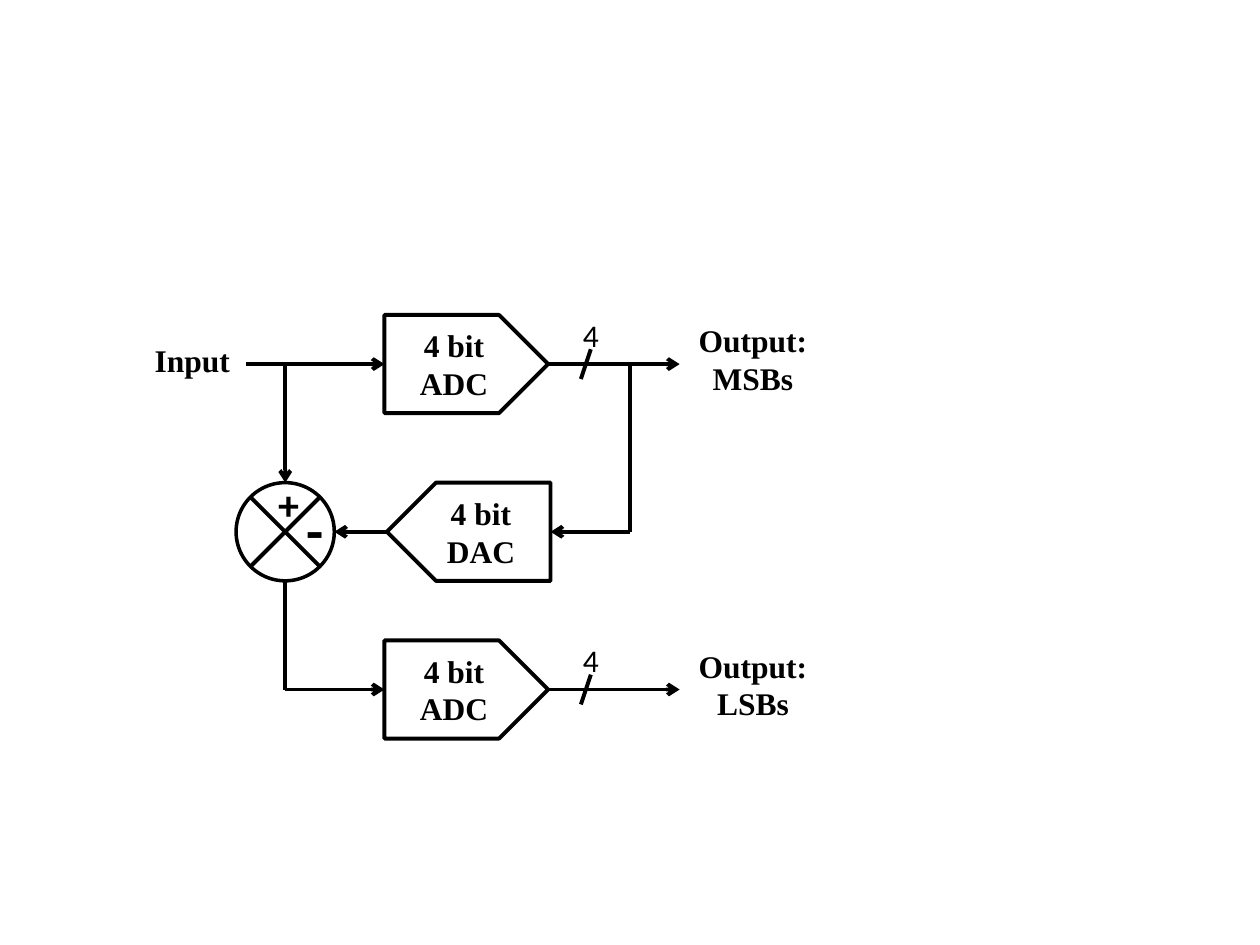
from lxml import etree
from pptx import Presentation
from pptx.dml.color import RGBColor
from pptx.enum.shapes import MSO_CONNECTOR, MSO_SHAPE
from pptx.enum.text import MSO_ANCHOR, MSO_AUTO_SIZE, PP_ALIGN
from pptx.oxml.ns import qn
from pptx.util import Cm, Pt

BLACK = RGBColor(0, 0, 0)
WHITE = RGBColor(255, 255, 255)
STRAIGHT = MSO_CONNECTOR.STRAIGHT
PENTAGON = MSO_SHAPE.PENTAGON
CIRCLE = MSO_SHAPE.OVAL
MIDDLE = MSO_ANCHOR.MIDDLE
GROW = MSO_AUTO_SIZE.SHAPE_TO_FIT_TEXT
LEFT = PP_ALIGN.LEFT
CENTER = PP_ALIGN.CENTER

LABEL = {"name": "Times New Roman", "size": Pt(18), "bold": True}
PLUS = {"name": "Calibri", "size": Pt(24), "bold": True}
MINUS = {"name": "Calibri", "size": Pt(32), "bold": True}
COUNT = {"name": "Calibri", "size": Pt(18), "bold": False}

MSB_Y, DAC_Y, LSB_Y = 7.34, 10.72, 13.9
SUM_X, ADC_X, DAC_X = 5.75, 7.75, 7.8
BLOCK_WIDTH, BLOCK_HEIGHT = 3.3, 1.98
RADIUS = BLOCK_HEIGHT / 2
CROSS = 0.7
TAP_X, OUTPUT_X, SLASH_X = 12.7, 13.7, 11.81


def write_lines(frame, text, style, align=CENTER):
    for index, line in enumerate(text.split("\n")):
        para = frame.add_paragraph() if index else frame.paragraphs[0]
        para.alignment = align
        span = para.add_run()
        span.text = line
        for name, value in style.items():
            setattr(span.font, name, value)
        span.font.color.rgb = BLACK


def add_label(page, left, top, width, height, text, style, align=CENTER):
    box = page.shapes.add_textbox(Cm(left), Cm(top), Cm(width), Cm(height))
    box.text_frame.word_wrap = True
    box.text_frame.auto_size = GROW
    write_lines(box.text_frame, text, style, align)


def add_wire(page, start, end, arrow=False):
    wire = page.shapes.add_connector(STRAIGHT, *map(Cm, start + end))
    wire.line.color.rgb = BLACK
    wire.line.width = Pt(2.25)
    properties = wire.line._get_or_add_ln()
    if arrow:
        etree.SubElement(properties, qn("a:tailEnd"), type="arrow")
    etree.SubElement(properties.getparent(), qn("a:effectLst"))


def add_outline(page, kind, left, middle, width, line_width):
    shape = page.shapes.add_shape(
        kind, Cm(left), Cm(middle - BLOCK_HEIGHT / 2), Cm(width), Cm(BLOCK_HEIGHT))
    shape.shadow.inherit = False
    shape.fill.solid()
    shape.fill.fore_color.rgb = WHITE
    shape.line.color.rgb = BLACK
    shape.line.width = Pt(line_width)
    return shape


def add_converter(page, left, middle, text, flipped=False):
    block = add_outline(page, PENTAGON, left, middle, BLOCK_WIDTH, 2.25)
    if flipped:
        block.element.spPr.find(qn("a:xfrm")).set("flipH", "1")
    block.text_frame.vertical_anchor = MIDDLE
    write_lines(block.text_frame, text, LABEL)


def add_summing_node(page):
    add_outline(page, CIRCLE, SUM_X - RADIUS, DAC_Y, 2 * RADIUS, 2)
    for side in (-1, 1):
        add_wire(page, (SUM_X + side * CROSS, DAC_Y - CROSS),
                 (SUM_X - side * CROSS, DAC_Y + CROSS))
    add_label(page, 5.36, 9.53, 0.79, 1.28, "+", PLUS)
    add_label(page, 5.92, 9.86, 0.79, 1.62, "-", MINUS)


def add_output(page, middle, text):
    add_wire(page, (ADC_X + BLOCK_WIDTH, middle), (OUTPUT_X, middle), arrow=True)
    add_wire(page, (SLASH_X - 0.1, middle + 0.3), (SLASH_X + 0.1, middle - 0.3))
    add_label(page, 11.5, middle - 1.1, 0.59, 1.03, "4", COUNT, LEFT)
    add_label(page, 13.49, middle - 0.99, 3.38, 1.8, text, LABEL)


def main():
    deck = Presentation()
    deck.slide_width, deck.slide_height = Cm(25.4), Cm(19.05)
    page = deck.slides.add_slide(deck.slide_layouts[6])

    add_label(page, 2.39, MSB_Y - 0.58, 2.97, 1.03, "Input", LABEL)
    add_wire(page, (4.95, MSB_Y), (ADC_X, MSB_Y), arrow=True)
    add_wire(page, (SUM_X, MSB_Y), (SUM_X, DAC_Y - RADIUS), arrow=True)
    add_wire(page, (TAP_X, MSB_Y), (TAP_X, DAC_Y))
    add_wire(page, (TAP_X, DAC_Y), (DAC_X + BLOCK_WIDTH, DAC_Y), arrow=True)
    add_wire(page, (DAC_X, DAC_Y), (SUM_X + RADIUS, DAC_Y), arrow=True)
    add_wire(page, (SUM_X, DAC_Y + RADIUS), (SUM_X, LSB_Y))
    add_wire(page, (SUM_X, LSB_Y), (ADC_X, LSB_Y), arrow=True)

    for middle, text in ((MSB_Y, "Output:\nMSBs"), (LSB_Y, "Output:\nLSBs")):
        add_output(page, middle, text)
        add_converter(page, ADC_X, middle, "4 bit\nADC")
    add_converter(page, DAC_X, DAC_Y, "4 bit\nDAC", flipped=True)
    add_summing_node(page)

    deck.save("out.pptx")


if __name__ == "__main__":
    main()
